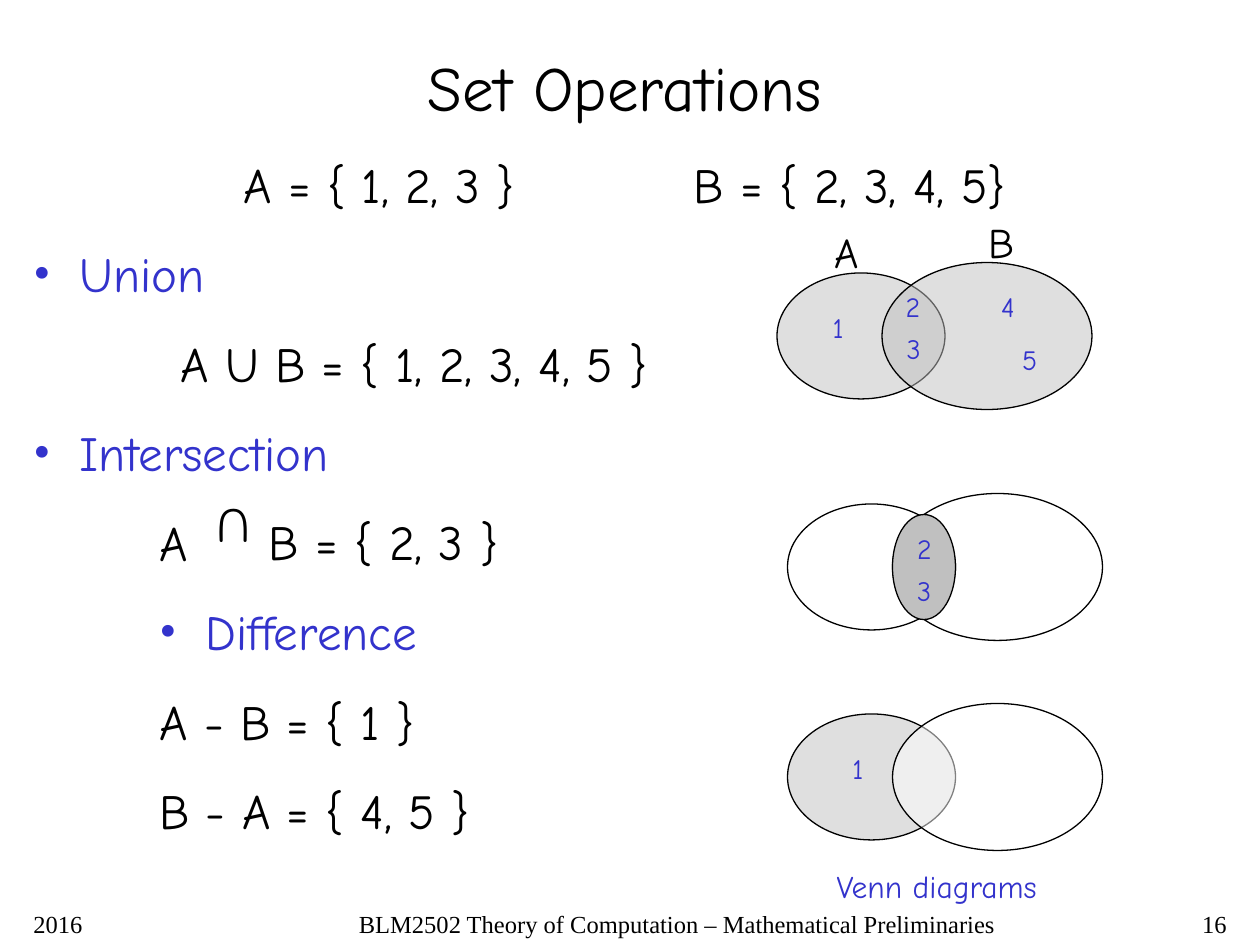
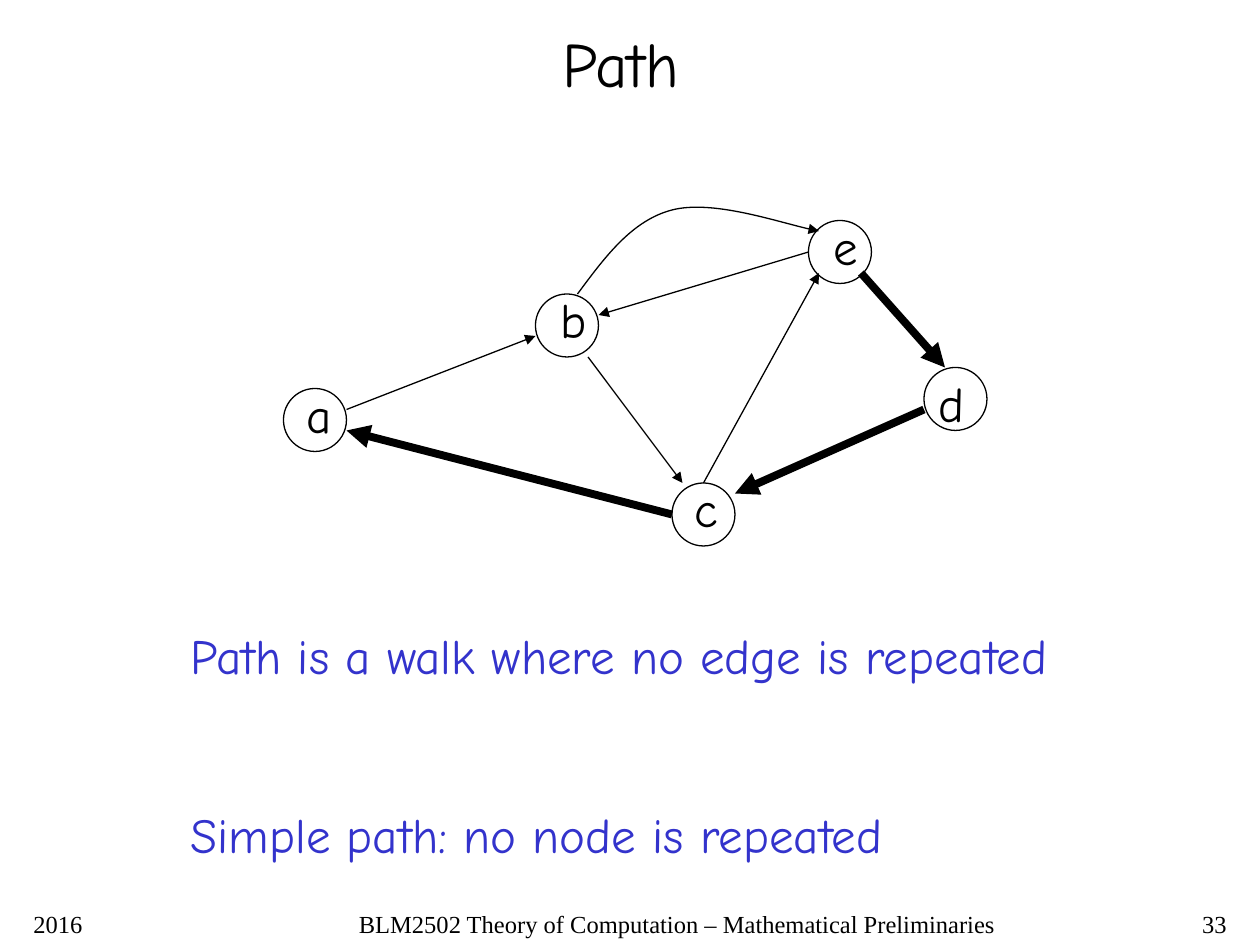
"""Build two lecture slides: set operations with Venn diagrams, and paths in a graph."""
from lxml.etree import SubElement
from pptx import Presentation
from pptx.dml.color import RGBColor
from pptx.enum.shapes import MSO_CONNECTOR, MSO_SHAPE
from pptx.enum.text import PP_ALIGN as Align
from pptx.oxml.ns import qn
from pptx.util import Pt

BLACK = RGBColor(0x00, 0x00, 0x00)
BLUE = RGBColor(0x33, 0x33, 0xCC)
GRAY = RGBColor(0xC0, 0xC0, 0xC0)
WHITE = RGBColor(0xFF, 0xFF, 0xFF)
HAND, SERIF = "Comic Neue", "Times New Roman"

YEAR = "2016"
COURSE = "BLM2502 Theory of Computation – Mathematical Preliminaries"
FOOTER_TOP, FOOTER_HEIGHT = 516, 24

HANG = 26.5
SET_LINES = [
    dict(text="Set Operations", size=36, align=Align.CENTER),
    dict(text="A = { 1, 2, 3 }", indent=120),
    dict(text="Union", bullet="•", indent=HANG, color=BLUE),
    dict(text="A U B = { 1, 2, 3, 4, 5 }", indent=84),
    dict(text="Intersection", bullet="•", indent=HANG, color=BLUE),
    dict(text="A", indent=72),
    dict(text="Difference", bullet="•", indent=72 + HANG, color=BLUE),
    dict(text="A - B = { 1 }", indent=72),
    dict(text="B - A = { 4, 5 }", indent=72),
]
SETS_LEFT, SETS_TOP = 12, 24
FIRST_LINE_TOP, LINE_PITCH = SETS_TOP + 60.7, 51.05
RIGHT_PARTS = [
    ("B = { 2, 3, 4, 5}", 377.4, 0, 200),
    ("B = { 2, 3 }", 134.5, 4, 170),
]
VENN_PAIRS = [
    (444, 156, GRAY, GRAY),
    (450, 408, GRAY, WHITE),
    (450, 288, None, None),
]
OVERLAP = (510, 294, 36, 60)
SET_NAMES = [("A", 470, 126), ("B", 558, 120)]
ELEMENTS = [
    ("2", 510.5, 162), ("3", 511, 186), ("1", 468.7, 174), ("4", 565, 162),
    ("5", 577, 192), ("2", 517, 300), ("3", 517, 324), ("1", 480, 426),
]

NODE_SIZE = 36
NODES = [
    ("a", 162, 222, 6, -6), ("b", 306, 168, 7, -6), ("c", 384, 276, 6, -6),
    ("d", 528, 210, 1, 0), ("e", 462, 126, 7, -6),
]
THIN, THICK = 0.75, 4.5
EDGES = [
    ((198, 234), (306, 192), THIN),
    ((336, 204), (390, 276), THIN),
    ((402, 276), (468, 156), THIN),
    ((462, 144), (342, 180), THIN),
    ((528, 234), (420, 282), THICK),
    ((384, 294), (198, 246), THICK),
    ((492, 156), (540, 210), THICK),
]
CURVE = [(330, 168), (345.6, 147), (361, 126), (384, 120),
         (407, 114), (451, 129), (468, 132)]
PATH_LINES = [
    dict(text="Path is a walk where no edge is repeated"),
    dict(text="Simple path: no node is repeated", before=68.6),
]


def add_text(slide, frame, lines, size=28, face=HAND, color=BLACK,
             align=Align.LEFT, wrap=False, rotation=0):
    box = slide.shapes.add_textbox(*map(Pt, frame))
    box.rotation = rotation
    box.text_frame.word_wrap = wrap
    if isinstance(lines, str):
        lines = [dict(text=lines)]
    for number, line in enumerate(lines):
        para = box.text_frame.add_paragraph() if number else box.text_frame.paragraphs[0]
        properties = para._p.get_or_add_pPr()
        indent, bullet = line.get("indent", 0), line.get("bullet")
        properties.set("marL", str(Pt(indent)))
        properties.set("indent", str(Pt(-HANG if bullet else 0)))
        if bullet:
            tint = SubElement(properties, qn("a:buClr"))
            SubElement(tint, qn("a:srgbClr"), val=str(line["color"]))
            SubElement(properties, qn("a:buFont"), typeface=SERIF)
            SubElement(properties, qn("a:buChar"), char=bullet)
        para.alignment = line.get("align", align)
        if number:
            para.space_before = Pt(line.get("before", 17.5))
        span = para.add_run()
        span.text = line["text"]
        span.font.name = face
        span.font.size = Pt(line.get("size", size))
        span.font.color.rgb = line.get("color", color)


def style_line(shape, width=THIN, arrow=False):
    shape.line.color.rgb = BLACK
    shape.line.width = Pt(width)
    if arrow:
        SubElement(shape.line._get_or_add_ln(), qn("a:tailEnd"), type="triangle")


def add_ellipse(slide, frame, fill=None, alpha=None):
    ellipse = slide.shapes.add_shape(MSO_SHAPE.OVAL, *map(Pt, frame))
    ellipse.shadow.inherit = False
    if fill is None:
        ellipse.fill.background()
    else:
        ellipse.fill.solid()
        ellipse.fill.fore_color.rgb = fill
        if alpha:
            tint = ellipse._element.spPr.find(qn("a:solidFill")).find(qn("a:srgbClr"))
            SubElement(tint, qn("a:alpha"), val=str(alpha * 1000))
    style_line(ellipse)


def add_edge(slide, start, end, width):
    edge = slide.shapes.add_connector(MSO_CONNECTOR.STRAIGHT, *map(Pt, start + end))
    style_line(edge, width, arrow=True)
    SubElement(edge._element.spPr, qn("a:effectLst"))


def add_curve(slide, points):
    start, *rest = [(Pt(x), Pt(y)) for x, y in points]
    builder = slide.shapes.build_freeform(*start)
    builder.add_line_segments(rest, close=False)
    curve = builder.convert_to_shape()
    curve.shadow.inherit = False
    curve.fill.background()
    style_line(curve, arrow=True)
    outline = curve._element.find(".//" + qn("a:path"))
    segments = outline.findall(qn("a:lnTo"))
    for first in range(0, len(segments), 3):
        bezier = SubElement(outline, qn("a:cubicBezTo"))
        for segment in segments[first:first + 3]:
            bezier.append(segment[0])
            outline.remove(segment)


def add_slide(deck, number):
    slide = deck.slides.add_slide(deck.slide_layouts[6])
    for text, left, width, align in [
        (YEAR, 12, 126, Align.LEFT),
        (COURSE, 168, 438, Align.CENTER),
        (str(number), 558, 150, Align.RIGHT),
    ]:
        add_text(slide, (left, FOOTER_TOP, width, FOOTER_HEIGHT), text,
                 size=14, face=SERIF, align=align, wrap=True)
    return slide


def build_set_operations(deck):
    slide = add_slide(deck, 16)
    add_text(slide, (SETS_LEFT, SETS_TOP, 690, 459), SET_LINES, wrap=True)
    for text, indent, row, width in RIGHT_PARTS:
        top = FIRST_LINE_TOP + row * LINE_PITCH
        add_text(slide, (SETS_LEFT + indent, top, width, 41), text, wrap=True)
    add_text(slide, (114, 281.5, 36, 41), "U", wrap=True, rotation=180)
    for left, top, fill_a, fill_b in VENN_PAIRS:
        add_ellipse(slide, (left, top, 96, 72), fill_a, alpha=50)
        add_ellipse(slide, (left + 60, top - 6, 120, 84), fill_b, alpha=50)
    add_ellipse(slide, OVERLAP, GRAY)
    for name, left, top in SET_NAMES:
        add_text(slide, (left, top, 28.5, 36), name, size=24)
    for digit, left, top in ELEMENTS:
        add_text(slide, (left, top, 22, 26.5), digit, size=16, color=BLUE)
    add_text(slide, (471, 492, 130, 29), "Venn diagrams", size=18, color=BLUE)


def build_path(deck):
    slide = add_slide(deck, 33)
    add_text(slide, (314.5, 10.3, 83, 50.5), "Path", size=36)
    for name, left, top, shift_x, shift_y in NODES:
        add_ellipse(slide, (left, top, NODE_SIZE, NODE_SIZE))
        add_text(slide, (left + shift_x, top + shift_y, 28.5, 41), name)
    for start, end, width in EDGES:
        add_edge(slide, start, end, width)
    add_curve(slide, CURVE)
    add_text(slide, (102, 354, 507, 143), PATH_LINES, color=BLUE)


def main():
    deck = Presentation()
    deck.slide_width, deck.slide_height = Pt(720), Pt(540)
    build_set_operations(deck)
    build_path(deck)
    deck.save("out.pptx")


if __name__ == "__main__":
    main()
